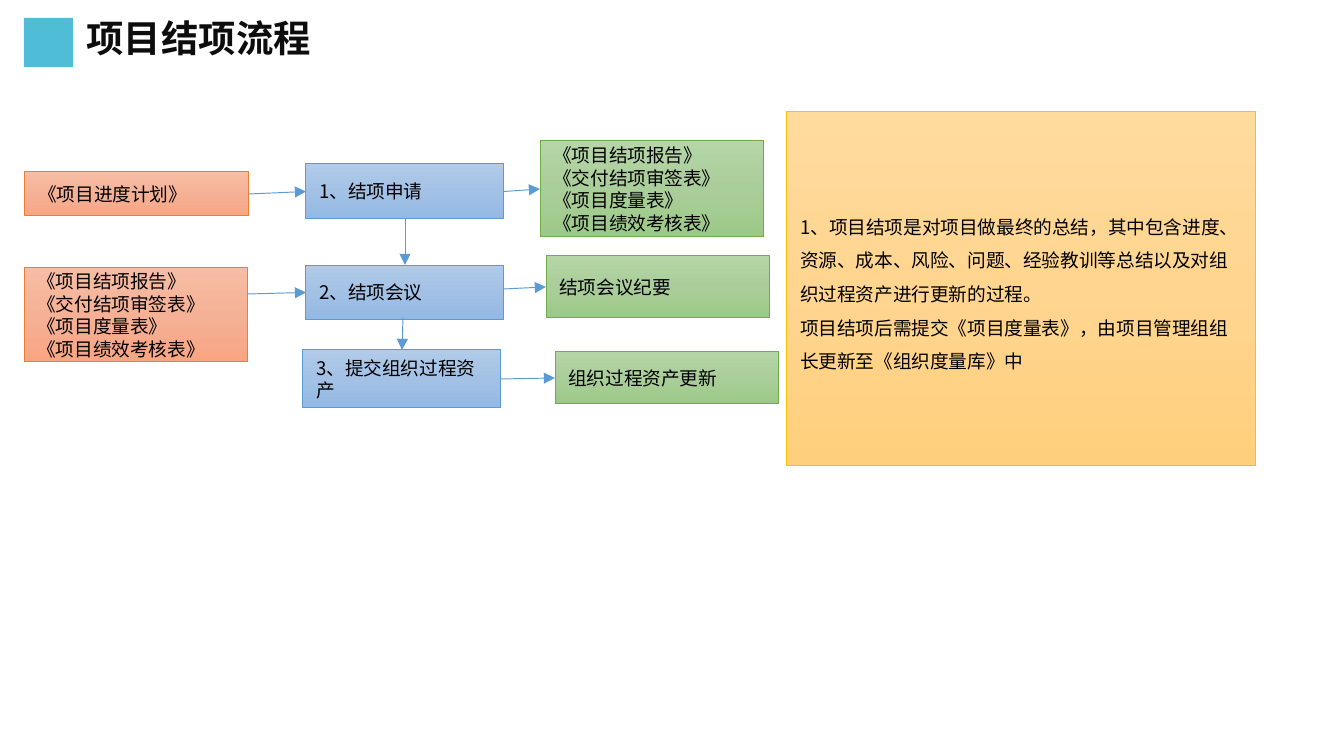
import copy

import pptx
import pptx.dml.color
import pptx.enum.shapes
import pptx.enum.text
import pptx.oxml.ns
import pptx.util
from lxml import etree

PX = 914400 / 134.4
FONT = "Noto Sans CJK SC"
BLUE_LINE = "5B9BD5"
TOP, LEFT, BOTTOM, RIGHT = range(4)

TITLE = "项目结项流程"
REPORTS = ["《项目结项报告》", "《交付结项审签表》", "《项目度量表》", "《项目绩效考核表》"]
NOTES = [
    "1、项目结项是对项目做最终的总结，其中包含进度、资源、成本、风险、问题、经验教训等总结以及对组织过程资产进行更新的过程。",
    "项目结项后需提交《项目度量表》，由项目管理组组长更新至《组织度量库》中",
]

# Role: gradient stops from top to bottom, outline, line spacing
STYLES = {
    "input": (("F7BDA5", "F5B196", "F8A582"), "ED7D31", 1),
    "step": (("B1CBE9", "A3C1E5", "93B9E4"), BLUE_LINE, 1),
    "output": (("B5D5A7", "AACE9A", "9CC987"), "70AD47", 1),
    "notes": (("FFDB9E", "FFD590", "FFD07C"), "FFC000", 1.5),
}

# Key: role, (left, top, width, height) in px, paragraphs
BOXES = {
    "notes": ("notes", (787, 111, 469, 355), NOTES),
    "apply": ("step", (306, 164, 198, 55), ["1、结项申请"]),
    "apply_docs": ("output", (540, 141, 224, 96), REPORTS),
    "archive": ("step", (303, 350, 198, 58), ["3、提交组织过程资产"]),
    "assets": ("output", (555, 352, 224, 52), ["组织过程资产更新"]),
    "meeting": ("step", (306, 265, 198, 55), ["2、结项会议"]),
    "minutes": ("output", (546, 256, 224, 62), ["结项会议纪要"]),
    "reports": ("input", (24, 268, 224, 94), REPORTS),
    "plan": ("input", (25, 172, 224, 44), ["《项目进度计划》"]),
}

# Each end is a box side, or a free point in px
ARROWS = [
    (("plan", RIGHT), ("apply", LEFT)),
    (("apply", RIGHT), ("apply_docs", LEFT)),
    (("apply", BOTTOM), ("meeting", TOP)),
    ((248, 294), ("meeting", LEFT)),
    ((504, 289), ("minutes", LEFT)),
    ((403, 318), ("archive", TOP)),
    (("archive", RIGHT), ("assets", LEFT)),
]


def px(*lengths):
    return [round(length * PX) for length in lengths]


def color(hex_value):
    return pptx.dml.color.RGBColor.from_string(hex_value)


def add_xml(parent, tag, **attributes):
    return etree.SubElement(parent, pptx.oxml.ns.qn(tag), attributes)


def write(frame, lines, size, hex_value, bold=False, spacing=1):
    frame.word_wrap = True
    frame.text = "\n".join(lines)
    for paragraph in frame.paragraphs:
        paragraph.alignment = pptx.enum.text.PP_ALIGN.LEFT
        paragraph.line_spacing = spacing
        font = paragraph.font
        font.size, font.bold, font.name = pptx.util.Pt(size), bold, FONT
        font.color.rgb = color(hex_value)
        defaults = paragraph._p.pPr.find(pptx.oxml.ns.qn("a:defRPr"))
        add_xml(defaults, "a:ea", typeface=FONT)


def add_rectangle(slide, place):
    shape = slide.shapes.add_shape(
        pptx.enum.shapes.MSO_SHAPE.RECTANGLE, *px(*place))
    shape.shadow.inherit = False
    return shape


def add_box(slide, role, place, lines):
    stops, outline, spacing = STYLES[role]
    box = add_rectangle(slide, place)
    box.fill.gradient()
    box.fill.gradient_angle = 270
    # The preset gradient has two stops; a third goes in the middle
    first = box.fill._xPr.find(".//" + pptx.oxml.ns.qn("a:gs"))
    first.addnext(copy.deepcopy(first))
    for stop, position, hex_value in zip(box.fill.gradient_stops, (0, 0.5, 1), stops):
        stop.position = position
        stop.color.rgb = color(hex_value)
    box.line.color.rgb = color(outline)
    box.line.width = pptx.util.Pt(0.5)
    box.text_frame.vertical_anchor = pptx.enum.text.MSO_ANCHOR.MIDDLE
    write(box.text_frame, lines, 10, "000000", spacing=spacing)
    return box


def add_arrow(slide, boxes, start, end):
    free_start = px(*start) if start[0] not in boxes else (0, 0)
    arrow = slide.shapes.add_connector(
        pptx.enum.shapes.MSO_CONNECTOR.STRAIGHT, *free_start, 0, 0)
    if start[0] in boxes:
        arrow.begin_connect(boxes[start[0]], start[1])
    arrow.end_connect(boxes[end[0]], end[1])
    arrow.line.color.rgb = color(BLUE_LINE)
    arrow.line.width = pptx.util.Pt(0.5)
    add_xml(arrow.line._get_or_add_ln(), "a:tailEnd", type="triangle")
    add_xml(arrow._element.spPr, "a:effectLst")


def main():
    deck = pptx.Presentation()
    deck.slide_width, deck.slide_height = px(1344, 756)
    slide = deck.slides.add_slide(deck.slide_layouts[5])

    # Heading with its translucent square
    marker = add_rectangle(slide, (24, 18, 49, 49))
    marker.fill.solid()
    marker.fill.fore_color.rgb = color("06A1C6")
    tint = marker._element.spPr.find(".//" + pptx.oxml.ns.qn("a:srgbClr"))
    add_xml(tint, "a:alpha", val="70000")
    marker.line.fill.background()

    title = slide.shapes.title
    title.left, title.top, title.width, title.height = px(73, 8, 1238, 59)
    title.text_frame.vertical_anchor = pptx.enum.text.MSO_ANCHOR.TOP
    title.text_frame.auto_size = pptx.enum.text.MSO_AUTO_SIZE.NONE
    write(title.text_frame, [TITLE], 20, "0D0D0D", bold=True)

    # Process boxes and the arrows between them
    boxes = {key: add_box(slide, *box) for key, box in BOXES.items()}
    for start, end in ARROWS:
        add_arrow(slide, boxes, start, end)

    deck.save("out.pptx")


if __name__ == "__main__":
    main()
